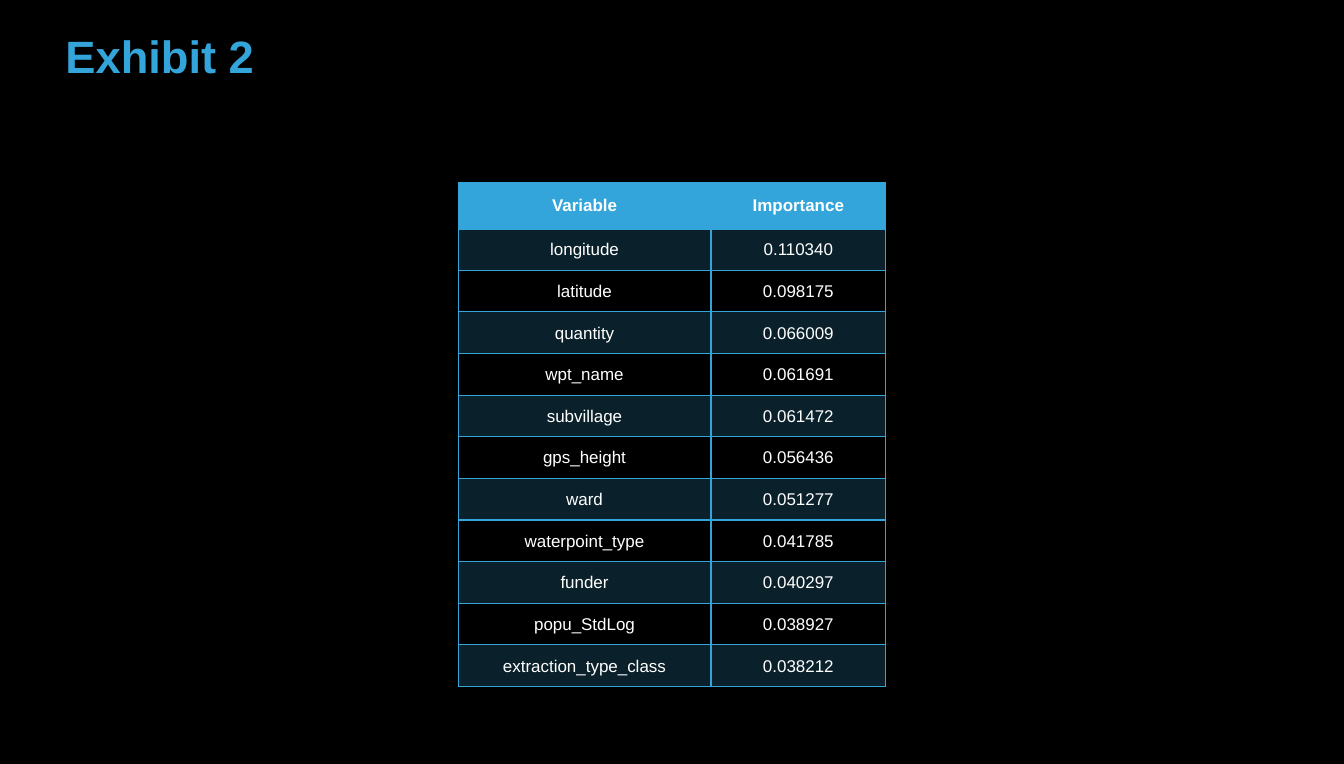
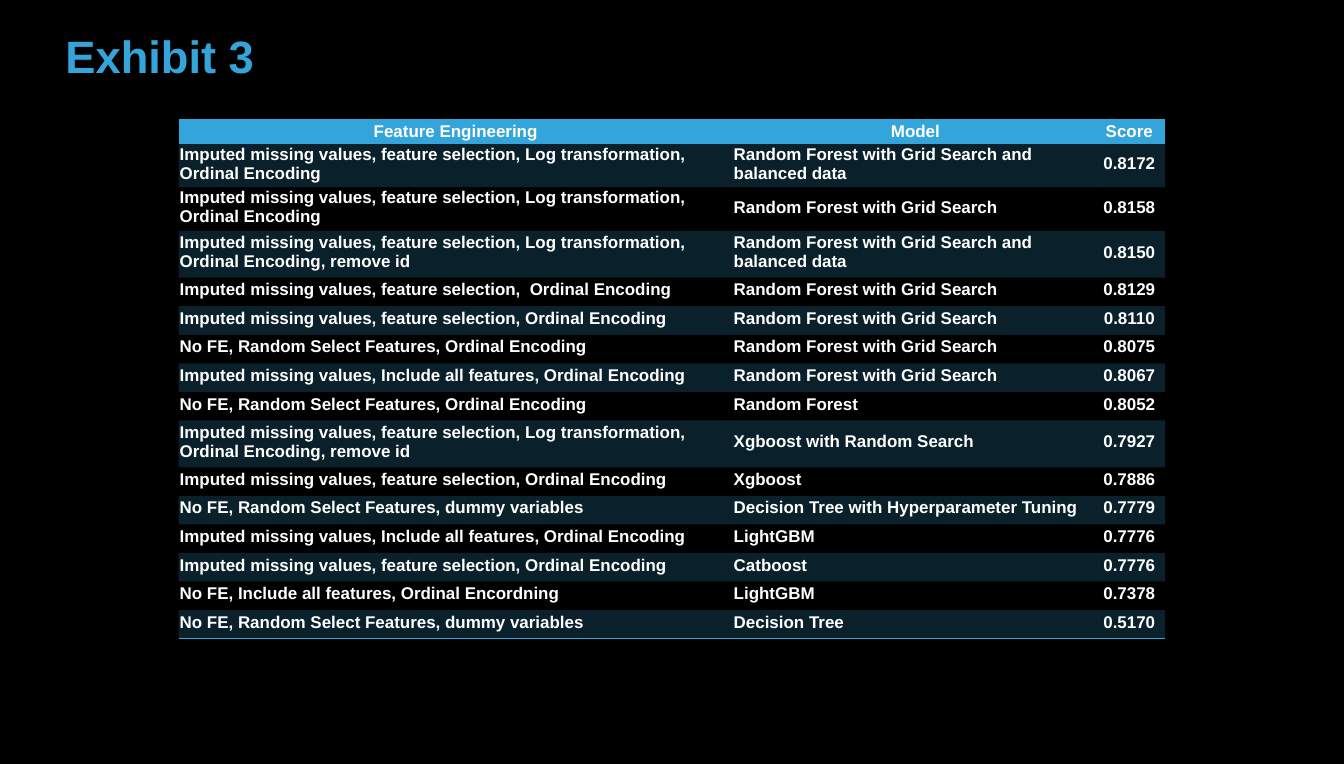
from lxml.etree import SubElement
from pptx import Presentation
from pptx.dml.color import RGBColor
from pptx.enum.text import MSO_ANCHOR as Anchor, PP_ALIGN as Align
from pptx.oxml.ns import qn
from pptx.util import Pt

FONT = "Arial"
BLACK, WHITE, BLUE = "000000", "FFFFFF", "34A5DA"
BAND_ALPHA = 20
PLAIN_STYLE = "{2D5ABB26-0587-4C30-8999-92F81FD0307C}"
SLIDE_W, SLIDE_H = 950.4, 540
TITLE_BOX = (39.2, 8.8, 857.5, 60.5)

IMPORTANCES = [
    ("Variable", "Importance"),
    ("longitude", "0.110340"),
    ("latitude", "0.098175"),
    ("quantity", "0.066009"),
    ("wpt_name", "0.061691"),
    ("subvillage", "0.061472"),
    ("gps_height", "0.056436"),
    ("ward", "0.051277"),
    ("waterpoint_type", "0.041785"),
    ("funder", "0.040297"),
    ("popu_StdLog", "0.038927"),
    ("extraction_type_class", "0.038212"),
]

SELECTED = "Imputed missing values, feature selection, Ordinal Encoding"
LOGGED = "Imputed missing values, feature selection, Log transformation, Ordinal Encoding"
LOGGED_NO_ID = LOGGED + ", remove id"
ALL_FEATURES = "Imputed missing values, Include all features, Ordinal Encoding"
RANDOM_ORDINAL = "No FE, Random Select Features, Ordinal Encoding"
RANDOM_DUMMY = "No FE, Random Select Features, dummy variables"
GRID_FOREST = "Random Forest with Grid Search"
BALANCED_FOREST = GRID_FOREST + " and balanced data"

SCORES = [
    ("Feature Engineering", "Model", "Score "),
    (LOGGED, BALANCED_FOREST, "0.8172 "),
    (LOGGED, GRID_FOREST, "0.8158 "),
    (LOGGED_NO_ID, BALANCED_FOREST, "0.8150 "),
    ("Imputed missing values, feature selection,  Ordinal Encoding", GRID_FOREST, "0.8129 "),
    (SELECTED, GRID_FOREST, "0.8110 "),
    (RANDOM_ORDINAL, GRID_FOREST, "0.8075 "),
    (ALL_FEATURES, GRID_FOREST, "0.8067 "),
    (RANDOM_ORDINAL, "Random Forest", "0.8052 "),
    (LOGGED_NO_ID, "Xgboost with Random Search", "0.7927 "),
    (SELECTED, "Xgboost", "0.7886 "),
    (RANDOM_DUMMY, "Decision Tree with Hyperparameter Tuning", "0.7779 "),
    (ALL_FEATURES, "LightGBM", "0.7776 "),
    (SELECTED, "Catboost", "0.7776 "),
    ("No FE, Include all features, Ordinal Encordning", "LightGBM", "0.7378 "),
    (RANDOM_DUMMY, "Decision Tree", "0.5170 "),
]


def color(hex_code):
    return RGBColor.from_string(hex_code)


def style_paragraph(paragraph, size, hex_code, bold, align):
    paragraph.alignment = align
    font = paragraph.font
    font.name, font.size, font.bold = FONT, Pt(size), bold
    font.color.rgb = color(hex_code)


def set_borders(cell, widths):
    props = cell._tc.get_or_add_tcPr()
    for side in "LRTB":
        if side in widths:
            line = SubElement(props, qn(f"a:ln{side}"), w=str(Pt(widths[side])))
            fill = SubElement(line, qn("a:solidFill"))
            SubElement(fill, qn("a:srgbClr"), val=BLUE)


def fill_cell(cell, row):
    if row and row % 2 == 0:
        cell.fill.background()
        return
    cell.fill.solid()
    cell.fill.fore_color.rgb = color(BLUE)
    if row:
        tint = cell._tc.tcPr.find(qn("a:solidFill")).find(qn("a:srgbClr"))
        SubElement(tint, qn("a:alpha"), val=str(BAND_ALPHA * 1000))


def add_grid(slide, left, top, records, widths, heights, bold, aligns, insets, borders):
    frame = slide.shapes.add_table(len(records), len(widths), Pt(left), Pt(top),
                                   Pt(sum(widths)), Pt(sum(heights)))
    table = frame.table
    table._tbl.tblPr.find(qn("a:tableStyleId")).text = PLAIN_STYLE
    for column, width in zip(table.columns, widths):
        column.width = Pt(width)
    for r, (record, height) in enumerate(zip(records, heights)):
        table.rows[r].height = Pt(height)
        inset_top, inset_bottom = insets(record) if r else (0.7, 0)
        for c, text in enumerate(record):
            cell = table.cell(r, c)
            cell.text = text
            cell.vertical_anchor = Anchor.MIDDLE
            cell.margin_left = cell.margin_right = Pt(0.7)
            cell.margin_top, cell.margin_bottom = Pt(inset_top), Pt(inset_bottom)
            style_paragraph(cell.text_frame.paragraphs[0], 12, WHITE,
                            bold or r == 0, aligns[c] if r else Align.CENTER)
            set_borders(cell, borders(r))
            fill_cell(cell, r)


def add_exhibit(deck, title):
    slide = deck.slides.add_slide(deck.slide_layouts[6])
    slide.background.fill.solid()
    slide.background.fill.fore_color.rgb = color(BLACK)
    frame = slide.shapes.add_textbox(*map(Pt, TITLE_BOX)).text_frame
    frame.word_wrap = True
    frame.vertical_anchor = Anchor.MIDDLE
    frame.text = title
    style_paragraph(frame.paragraphs[0], 32, BLUE, True, Align.LEFT)
    return slide


def add_importance_table(slide, left, top):
    def insets(record):
        return 0.7, 0

    def borders(row):
        return {"L": 1, "R": 1, "T": 2 if row == 1 else 1, "B": 1 if row else 2}

    heights = [32.7] + [29.44] * (len(IMPORTANCES) - 1)
    add_grid(slide, left, top, IMPORTANCES, [178.8, 123.6], heights, False,
             [Align.CENTER] * 2, insets, borders)


def add_score_table(slide, left, top):
    last = len(SCORES) - 1

    def insets(record):
        return (0, 2.1) if record[0] == LOGGED else (0.7, 3.6)

    def borders(row):
        if row == 0:
            return {"T": 1, "B": 1}
        return {"B": 1} if row == last else {}

    tall = {LOGGED: 30.9, LOGGED_NO_ID: 33}
    heights = [17] + [tall.get(record[0], 20.2) for record in SCORES[1:]]
    add_grid(slide, left, top, SCORES, [391.8, 258.4, 47.4], heights, True,
             [Align.LEFT, Align.LEFT, Align.CENTER], insets, borders)


def main():
    deck = Presentation()
    deck.slide_width, deck.slide_height = Pt(SLIDE_W), Pt(SLIDE_H)
    add_importance_table(add_exhibit(deck, "Exhibit 2"), 324, 128.9)
    add_score_table(add_exhibit(deck, "Exhibit 3"), 126.4, 84.3)
    deck.save("out.pptx")


if __name__ == "__main__":
    main()
